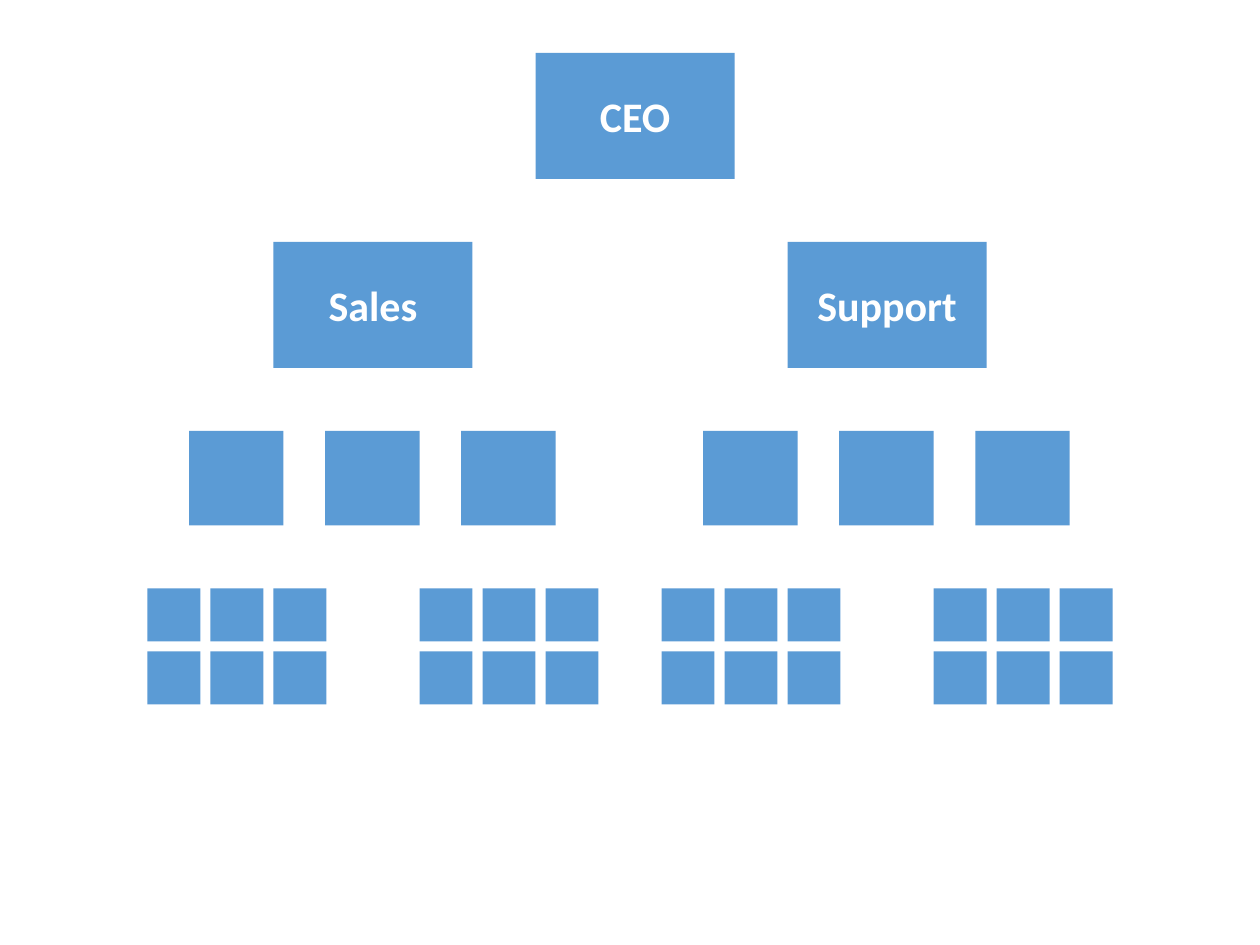
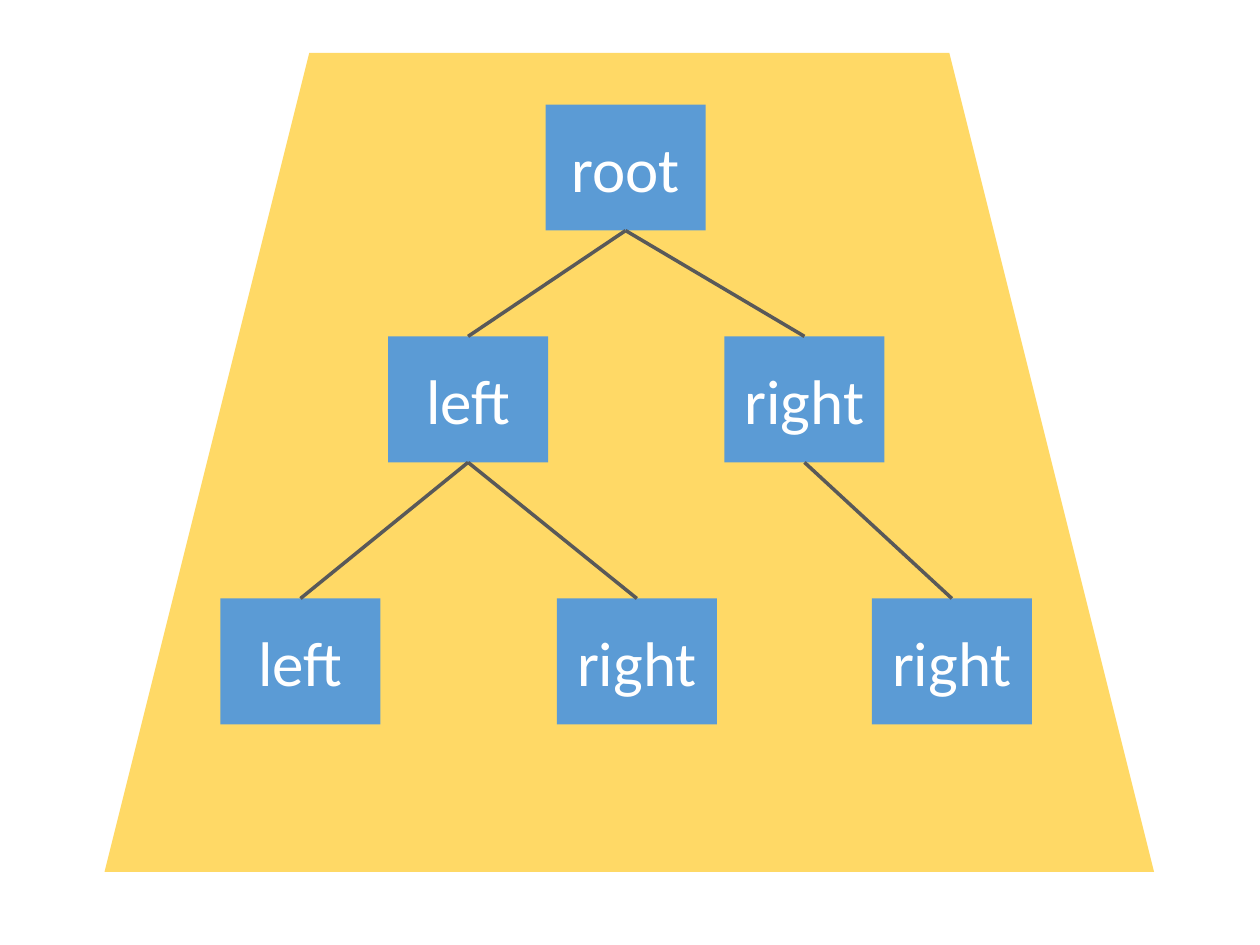
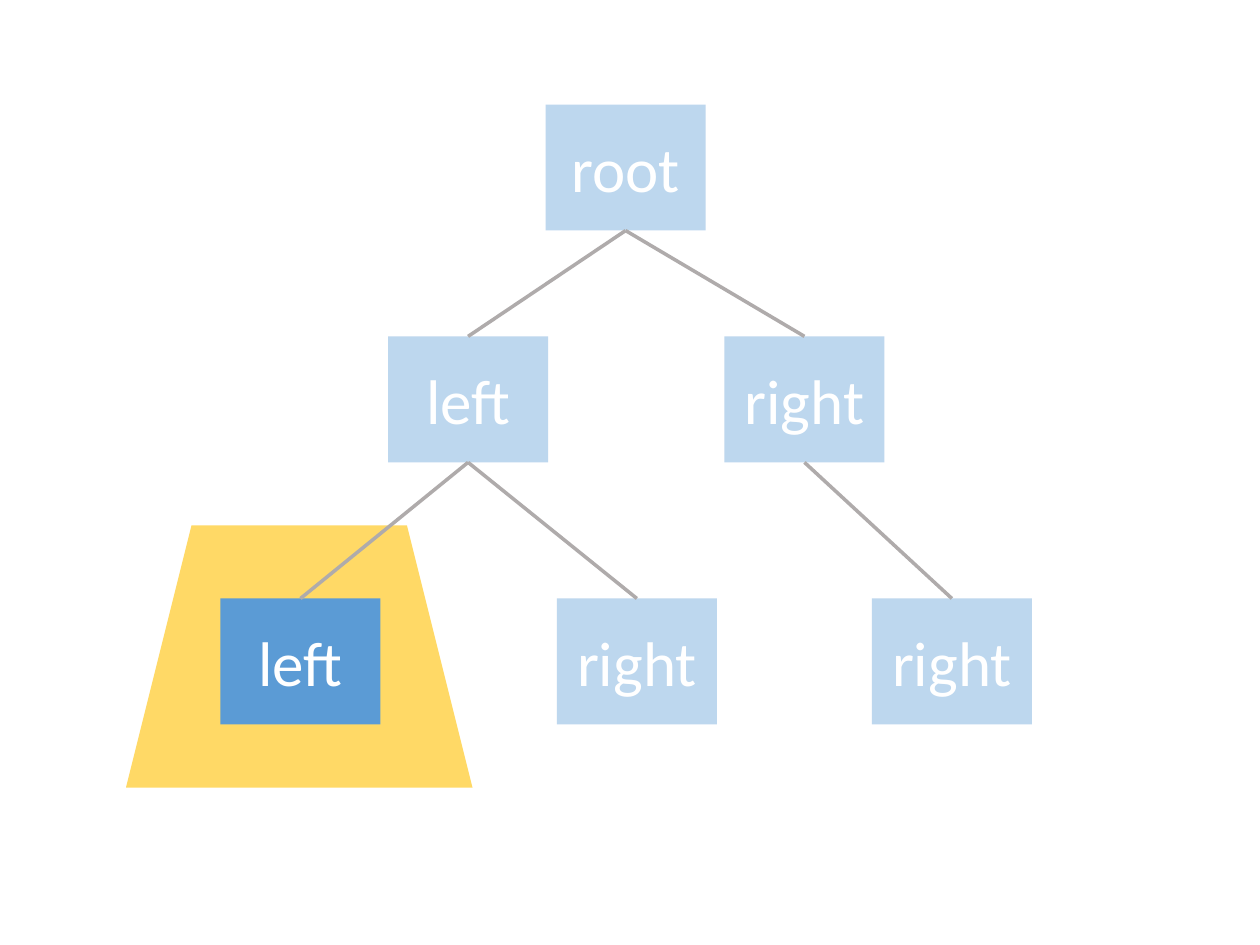
from lxml import etree
from pptx import Presentation
from pptx import util as u
from pptx.dml.color import RGBColor
from pptx.enum import shapes, text
from pptx.oxml import ns

FONT = "Calibri"
WHITE = "FFFFFF"
BLUE = "5B9BD5"
PALE_BLUE = "BDD7EE"
YELLOW = "FFD966"
DARK_GRAY = "595959"
GRAY = "AFABAB"

BLANK_LAYOUT = 6
TOP_SITE, BOTTOM_SITE = 0, 2

OFFICES = [("CEO", 4.25, 0.42), ("Sales", 2.17, 1.92), ("Support", 6.25, 1.92)]
TEAM_LEFTS = [1.5, 5.58]

NODES = [
    ("root", 4.33, 0.83),
    ("left", 3.08, 2.67),
    ("right", 5.75, 2.67),
    ("left", 1.75, 4.75),
    ("right", 4.42, 4.75),
    ("right", 6.92, 4.75),
]
EDGES = [(0, 1), (0, 2), (1, 3), (1, 4), (2, 5)]
LEFT_LEAF = 3


def color(value):
    return RGBColor.from_string(value)


def add_block(parent, left, top, width, height, fill=BLUE,
              kind=shapes.MSO_SHAPE.RECTANGLE):
    block = parent.shapes.add_shape(
        kind, u.Inches(left), u.Inches(top), u.Inches(width), u.Inches(height))
    block.shadow.inherit = False
    block.fill.solid()
    block.fill.fore_color.rgb = color(fill)
    block.line.fill.background()
    return block


def add_label(block, label, size, bold=False):
    block.text_frame.vertical_anchor = text.MSO_ANCHOR.MIDDLE
    para = block.text_frame.paragraphs[0]
    para.text = label
    para.alignment = text.PP_ALIGN.CENTER
    para.font.name = FONT
    para.font.size = u.Pt(size)
    para.font.bold = bold
    para.font.color.rgb = color(WHITE)


def add_edge(page, parent, child, line_color):
    edge = page.shapes.add_connector(shapes.MSO_CONNECTOR.STRAIGHT, 0, 0, 0, 0)
    edge.begin_connect(parent, BOTTOM_SITE)
    edge.end_connect(child, TOP_SITE)
    edge.line.color.rgb = color(line_color)
    edge.line.width = u.Pt(2)
    etree.SubElement(edge._element.spPr, ns.qn("a:effectLst"))


def add_squares(group, left, top, size, step, columns, rows=1):
    for row in range(rows):
        for column in range(columns):
            add_block(group, left + column * step, top + row * step, size, size)


def add_team(page, left):
    team = page.shapes.add_group_shape()
    add_squares(team, left, 3.42, 0.75, 1.08, columns=3)
    for staff_left in (left + 1.83, left - 0.33):
        add_squares(team, staff_left, 4.67, 0.42, 0.5, columns=3, rows=2)


def add_organization(page):
    for name, left, top in OFFICES:
        add_label(add_block(page, left, top, 1.58, 1), name, 24, bold=True)
    for left in TEAM_LEFTS:
        add_team(page, left)


def add_tree(page, highlight, active_nodes, line_color):
    add_block(page, *highlight, fill=YELLOW, kind=shapes.MSO_SHAPE.TRAPEZOID)
    nodes = []
    for index, (name, left, top) in enumerate(NODES):
        fill = BLUE if index in active_nodes else PALE_BLUE
        node = add_block(page, left, top, 1.27, 1, fill)
        add_label(node, name, 36)
        nodes.append(node)
    for parent, child in EDGES:
        add_edge(page, nodes[parent], nodes[child], line_color)


def main():
    deck = Presentation()
    deck.slide_width = u.Inches(10)
    deck.slide_height = u.Inches(7.5)
    organization, whole_tree, subtree = [
        deck.slides.add_slide(deck.slide_layouts[BLANK_LAYOUT]) for _ in range(3)]
    add_organization(organization)
    add_tree(whole_tree, (0.83, 0.42, 8.33, 6.5), range(len(NODES)), DARK_GRAY)
    add_tree(subtree, (1, 4.17, 2.75, 2.08), [LEFT_LEAF], GRAY)
    deck.save("out.pptx")


if __name__ == "__main__":
    main()
